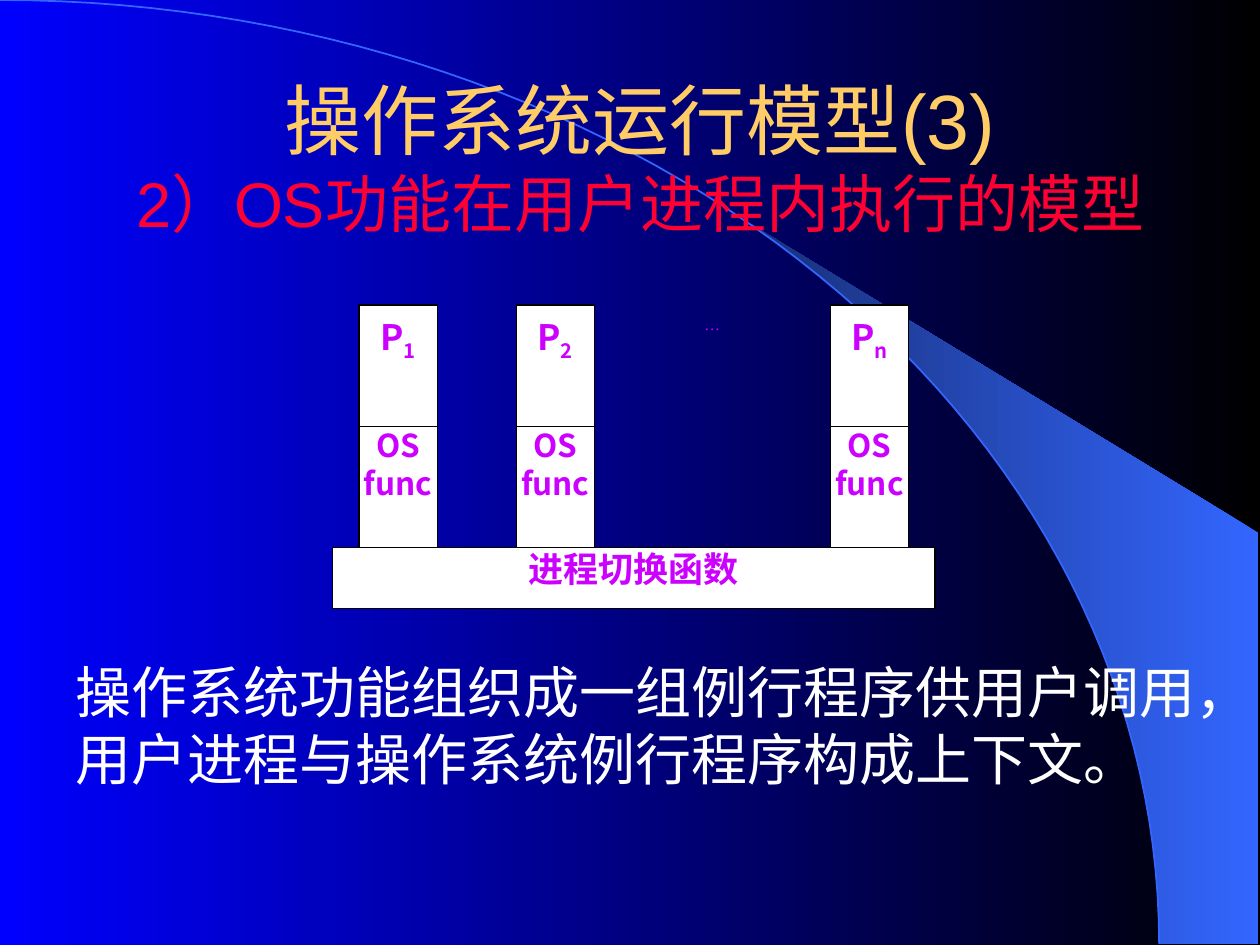
from math import asin, cos, pi, sin

from pptx import Presentation
from pptx.dml.color import RGBColor
from pptx.enum import shapes, text
from pptx.util import Inches, Pt

BLACK = RGBColor(0x00, 0x00, 0x00)
WHITE = RGBColor(0xFF, 0xFF, 0xFF)
BLUE = RGBColor(0x00, 0x00, 0xFF)
SKY = RGBColor(0x33, 0x66, 0xFF)
NAVY = RGBColor(0x18, 0x2F, 0x76)
GOLD = RGBColor(0xFF, 0xCC, 0x66)
RED = RGBColor(0xFF, 0x00, 0x33)
PURPLE = RGBColor(0xCC, 0x00, 0xFF)
SANS = "Noto Sans CJK SC"
SERIF = "Times New Roman"
CENTER = text.PP_ALIGN.CENTER


def shade(fill, first, last):
    """Fill with a gradient that runs from right to left."""
    fill.gradient()
    fill.gradient_angle = 180
    for stop, color in zip(fill.gradient_stops, (first, last)):
        stop.color.rgb = color


def write(frame, lines, size, font, color, bold=False, align=CENTER,
          pad=(0.1, 0.05)):
    """Put one paragraph per line; pad is the side and top inset."""
    frame.word_wrap = True
    frame.vertical_anchor = text.MSO_ANCHOR.TOP
    frame.margin_left = frame.margin_right = Inches(pad[0])
    frame.margin_top = frame.margin_bottom = Inches(pad[1])
    for i, line in enumerate(lines):
        para = frame.add_paragraph() if i else frame.paragraphs[0]
        para.alignment = align
        para.font.size = Pt(size)
        para.font.name = font
        para.font.bold = bold
        para.font.color.rgb = color
        para.add_run().text = line


def add_text(slide, x, y, w, h, *args, **style):
    box = slide.shapes.add_textbox(Inches(x), Inches(y), Inches(w), Inches(h))
    write(box.text_frame, *args, **style)


def add_cell(slide, x, y, w, h, lines, size, pad):
    """Draw a white box with purple bold text and return its text frame."""
    cell = slide.shapes.add_shape(shapes.MSO_SHAPE.RECTANGLE, Inches(x),
                                  Inches(y), Inches(w), Inches(h))
    cell.shadow.inherit = False
    cell.fill.solid()
    cell.fill.fore_color.rgb = WHITE
    cell.line.color.rgb = BLACK
    cell.line.width = Pt(0.75)
    write(cell.text_frame, lines, size, SANS, PURPLE, True, pad=pad)
    return cell.text_frame


def add_path(slide, points, close):
    dots = [(Inches(x), Inches(y)) for x, y in points]
    pen = slide.shapes.build_freeform(*dots[0])
    pen.add_line_segments(dots[1:], close=close)
    path = pen.convert_to_shape()
    path.shadow.inherit = False
    return path


def add_backdrop(slide, w, h):
    """Draw a quarter ellipse of the given size and the beam outside it."""
    def curve(start, steps):
        angles = (start + (pi / 2 - start) * i / steps for i in range(steps + 1))
        return [(w * sin(a), h * (1 - cos(a))) for a in angles]

    shade(slide.background.fill, BLACK, BLUE)
    edge = curve(asin(5.89 / w), 30)
    beam = add_path(slide, edge + [(9.99, h), (9.99, 4.23)], True)
    shade(beam.fill, SKY, NAVY)
    beam.line.fill.background()
    arc = add_path(slide, curve(0, 60), False)
    arc.fill.background()
    arc.line.color.rgb = SKY
    arc.line.width = Pt(1)


def add_title(slide, x, y, w, h):
    title = slide.shapes.title
    title.left, title.top = Inches(x), Inches(y)
    title.width, title.height = Inches(w), Inches(h)
    slide.shapes._spTree.append(title._element)  # in front of the backdrop
    frame = title.text_frame
    frame.auto_size = text.MSO_AUTO_SIZE.NONE
    frame.word_wrap = True
    frame.vertical_anchor = text.MSO_ANCHOR.MIDDLE
    frame.margin_bottom = Inches(0.65)
    para = frame.paragraphs[0]
    para.alignment = CENTER
    para.font.name = "Arial"
    parts = (("操作系统运行模型(3)", 44, GOLD),
             ("2）OS功能在用户进程内执行的模型", 36, RED))
    for i, (words, size, color) in enumerate(parts):
        if i:
            para.add_line_break()
        run = para.add_run()
        run.text = words
        run.font.size = Pt(size)
        run.font.name = "Arial"
        run.font.color.rgb = color


def add_model(slide, x, y, w, h):
    """Draw the processes in a row on top of the switching function."""
    cell_w, cell_h, edge = 0.62, 0.4 * h, 0.21
    step = (w - 2 * edge - cell_w) / 3
    add_cell(slide, x, y + 2 * cell_h, w, h - 2 * cell_h,
             ["进程切换函数"], 20, (0.1, 0))
    for i, mark in enumerate(("1", "2", "…", "n")):
        left = x + edge + i * step
        if mark == "…":
            add_text(slide, left, y, cell_w, 2 * cell_h, [mark], 9, SERIF,
                     PURPLE, pad=(0.1, 0.23))
            continue
        add_cell(slide, left, y + cell_h, cell_w, cell_h,
                 ["OS", "func"], 18, (0, 0))
        frame = add_cell(slide, left, y, cell_w, cell_h, ["P"], 20, (0.1, 0.08))
        sub = frame.paragraphs[0].add_run()
        sub.text = mark
        sub.font._element.set("baseline", "-25000")


def main():
    deck = Presentation()
    deck.slide_width, deck.slide_height = Inches(10), Inches(7.5)
    slide = deck.slides.add_slide(deck.slide_layouts[5])
    add_backdrop(slide, 9.2, 7.49)
    add_title(slide, 0.83, 0.83, 8.5, 1.42)
    add_model(slide, 2.64, 2.42, 4.78, 2.41)
    add_text(slide, 0.5, 5.17, 9.25, 1.17,
             ["操作系统功能组织成一组例行程序供用户调用，"
              "用户进程与操作系统例行程序构成上下文。"],
             32, SERIF, WHITE, align=text.PP_ALIGN.LEFT)
    deck.save("out.pptx")


if __name__ == "__main__":
    main()
